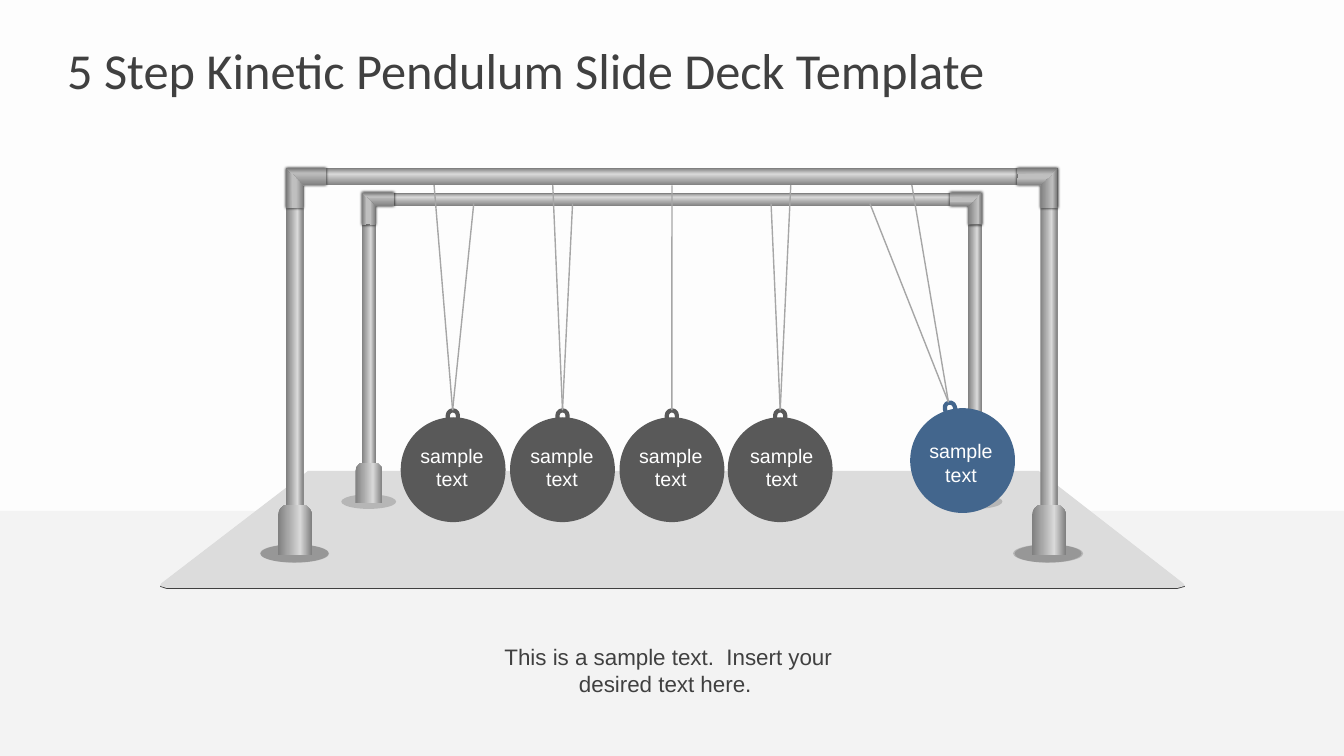
from dataclasses import dataclass
from pptx import Presentation
from pptx import oxml as ox
from pptx import util as u
from pptx.dml.color import RGBColor
from pptx.enum import shapes, text
from pptx.oxml import ns

Point = tuple[float, float]
Stops = list[tuple[int, RGBColor]]
Kind = shapes.MSO_SHAPE

PAGE = RGBColor(0xFD, 0xFD, 0xFD)
PLATE = RGBColor(0xDC, 0xDC, 0xDC)
BAND = RGBColor(0xD9, 0xD9, 0xD9)
INK = RGBColor(0x40, 0x40, 0x40)
BLACK = RGBColor(0, 0, 0)
WHITE = RGBColor(0xFF, 0xFF, 0xFF)
DARK = RGBColor(0x59, 0x59, 0x59)
BLUE = RGBColor(0x43, 0x66, 0x8D)
STEEL = RGBColor(0x80, 0x80, 0x80)
STEEL_EDGE = RGBColor(0x7A, 0x7A, 0x7A)
SILVER = RGBColor(0xBF, 0xBF, 0xBF)
STRING = RGBColor(0xA6, 0xA6, 0xA6)

TUBE: Stops = [(1, STEEL), (29, STRING), (66, BAND), (100, STEEL)]
INNER: Stops = [(1, STEEL), (100, SILVER)]
OUTER: Stops = [(1, STEEL_EDGE), (100, SILVER)]
BALL = 74.9


@dataclass
class Frame:
    left: float
    top: float
    right: float
    bottom: float
    scale: float


@dataclass
class Facet:
    points: list[Point]
    stops: Stops
    angle: int


@dataclass
class Pendulum:
    center: Point
    ring: Point
    hook: Point
    ends: list[Point]
    label: Point
    color: RGBColor = DARK
    rotation: int = 0


REAR = Frame(258.5, 137.6, 701.3, 359.3, 0.8)
FRONT = Frame(204.5, 120.2, 755.3, 396.4, 1)
ELBOW: list[Point] = [(0, 0), (28.5, 0), (28.5, 12.2), (12.2, 12.2), (12.2, 28.5), (0, 28.5)]
FACETS = [
    Facet([(5, 3.6), (28.4, 3.6), (28.4, 12.2), (12.2, 12.2)], INNER, 270),
    Facet([(7.2, 7.2), (7.2, 28.6), (12.2, 28.6), (12.2, 12.2)], INNER, 180),
    Facet([(4.3, 3.2), (3.6, 28.6), (0, 28.6), (0, 0)], OUTER, 0),
    Facet([(3.6, 3.6), (28.4, 3.6), (28.4, 0), (0, 0)], OUTER, 90),
]
PENDULUMS = [
    Pendulum((687.6, 329), (680.4, 299.5), (677.5, 287.3),
             [(650.2, 125.3), (621.4, 145.4)], (686.5, 310.3), BLUE, 347),
    Pendulum((557.3, 335.5), (557.3, 305.3), (557.3, 293),
             [(565.2, 124.6), (550.8, 145.4)], (558.4, 313.2)),
    Pendulum((480, 335.5), (479.9, 305.3), (479.9, 293), [(480, 132.5)], (479.2, 313.2)),
    Pendulum((401.8, 335.5), (401.8, 305.3), (401.8, 293),
             [(409, 145.4), (394.6, 126.7)], (401.4, 313.2)),
    Pendulum((323.7, 335.5), (323.5, 305.3), (323.3, 293),
             [(338.4, 145.4), (309.6, 126.7)], (322.9, 313.2)),
]

prs = Presentation()
prs.slide_width, prs.slide_height = u.Pt(960), u.Pt(540)
s = prs.slides.add_slide(prs.slide_layouts[6])
s.background.fill.solid()
s.background.fill.fore_color.rgb = PAGE


def paint(sp, color: RGBColor, alpha: int = 100) -> None:
    sp.shadow.inherit = False
    sp.line.fill.background()
    sp.fill.solid()
    sp.fill.fore_color.rgb = color
    if alpha < 100:
        clr = sp._element.spPr.find(ns.qn("a:solidFill"))[0]
        clr.append(ox.parse_xml(f'<a:alpha {ns.nsdecls("a")} val="{alpha * 1000}"/>'))


def shade(sp, stops: Stops, angle: int) -> None:
    paint(sp, SILVER)
    marks = "".join(f'<a:gs pos="{pos * 1000}"><a:srgbClr val="{color}"/></a:gs>'
                    for pos, color in stops)
    grad = ox.parse_xml(f'<a:gradFill {ns.nsdecls("a")} rotWithShape="1"><a:gsLst>{marks}</a:gsLst>'
                        f'<a:lin ang="{angle * 60000}" scaled="0"/></a:gradFill>')
    pr = sp._element.spPr
    pr.replace(pr.find(ns.qn("a:solidFill")), grad)


def preset(kind: Kind, x: float, y: float, w: float, h: float):
    return s.shapes.add_shape(kind, u.Pt(x), u.Pt(y), u.Pt(w), u.Pt(h))


def polygon(points: list[Point]):
    first, *rest = [(u.Pt(x), u.Pt(y)) for x, y in points]
    builder = s.shapes.build_freeform(*first)
    builder.add_line_segments(rest, close=True)
    return builder.convert_to_shape()


def write(words: str, x: float, y: float, w: float, h: float, size: int, color: RGBColor,
          font: str = "Arial", align=text.PP_ALIGN.CENTER):
    tf = s.shapes.add_textbox(u.Pt(x), u.Pt(y), u.Pt(w), u.Pt(h)).text_frame
    tf.word_wrap = True
    p = tf.paragraphs[0]
    p.alignment = align
    r = p.add_run()
    r.text = words
    r.font.name, r.font.size, r.font.color.rgb = font, u.Pt(size), color
    return tf


def foot_shadow(x: float, y: float, scale: float) -> None:
    w, h = 49 * scale, 13 * scale
    paint(preset(Kind.OVAL, x - w / 2, y - h / 2, w, h), BLACK, 17)


def joint_points(f: Frame, on_right: bool, points: list[Point]) -> list[Point]:
    k = f.scale
    if on_right:
        return [(f.right - y * k, f.top + x * k) for x, y in points]
    return [(f.left + x * k, f.top + y * k) for x, y in points]


def draw_joint(f: Frame, on_right: bool) -> None:
    elbow = polygon(joint_points(f, on_right, ELBOW))
    paint(elbow, SILVER)
    elbow._element.spPr.find(ns.qn("a:effectLst")).append(ox.parse_xml(
        f'<a:outerShdw {ns.nsdecls("a")} blurRad="{u.Pt(2)}" dist="0">'
        '<a:srgbClr val="000000"><a:alpha val="98000"/></a:srgbClr></a:outerShdw>'))
    for facet in FACETS:
        shade(polygon(joint_points(f, on_right, facet.points)), facet.stops,
              (facet.angle + 90 * on_right) % 360)


def draw_frame(f: Frame) -> None:
    tube, cap_w, cap_h = 12.2 * f.scale, 24 * f.scale, 36 * f.scale
    posts = [f.left, f.right - tube]
    for x in posts:
        foot_shadow(x + tube / 2, f.bottom - 1, f.scale)
    for x in posts:
        shade(preset(Kind.RECTANGLE, x, f.top, tube, f.bottom - f.top), TUBE, 0)
    shade(preset(Kind.RECTANGLE, f.left, f.top, f.right - f.left, tube), TUBE, 270)
    for x in posts:
        cap = preset(Kind.ROUND_2_SAME_RECTANGLE, x + (tube - cap_w) / 2,
                     f.bottom - cap_h, cap_w, cap_h)
        cap.adjustments[0] = 0.32
        shade(cap, TUBE, 0)
    for on_right in (False, True):
        draw_joint(f, on_right)


def draw_pendulum(d: Pendulum) -> None:
    ring = preset(Kind.ROUNDED_RECTANGLE, d.ring[0] - 3.6, d.ring[1] - 12.2, 7.2, 24.4)
    ring.adjustments[0] = 0.5
    ring.shadow.inherit = False
    ring.fill.background()
    ring.line.color.rgb, ring.line.width = d.color, u.Pt(3)
    ball = preset(Kind.OVAL, d.center[0] - BALL / 2, d.center[1] - BALL / 2, BALL, BALL)
    paint(ball, d.color)
    ring.rotation = ball.rotation = d.rotation


def draw_strings(d: Pendulum) -> None:
    for end in d.ends:
        c = s.shapes.add_connector(shapes.MSO_CONNECTOR.STRAIGHT,
                                   *[u.Pt(v) for v in (*d.hook, *end)])
        c.line.color.rgb, c.line.width = STRING, u.Pt(1)
        c._element.spPr.append(ox.parse_xml(f'<a:effectLst {ns.nsdecls("a")}/>'))


paint(preset(Kind.RECTANGLE, 0, 365, 960, 175), BAND, 26)
title = write("5 Step Kinetic Pendulum Slide Deck Template", 48, 21.6, 864, 56.2, 36, INK,
              "Calibri", text.PP_ALIGN.LEFT)
title.margin_left = title.margin_right = 0
title.vertical_anchor = text.MSO_ANCHOR.MIDDLE
write("This is a sample text.  Insert your desired text here. ", 351.4, 455.8, 252, 46, 16, INK)

plate = [(220, 336.4), (742, 336.4), (845, 416.5), (846.4, 418.5), (841, 420),
         (119, 420), (114.3, 418.5), (115.5, 416.5)]
paint(polygon([(x, y + 0.6) for x, y in plate]), INK)
paint(polygon(plate), PLATE)
for shadow_x in (210.2, 748.1):
    foot_shadow(shadow_x, 395.3, 1)
draw_frame(REAR)
for pendulum in PENDULUMS:
    draw_pendulum(pendulum)
for pendulum in PENDULUMS:
    draw_strings(pendulum)
for pendulum in PENDULUMS:
    write("sample text", pendulum.label[0] - 35.6, pendulum.label[1], 71.2, 41, 14, WHITE)
draw_frame(FRONT)
prs.save("out.pptx")
